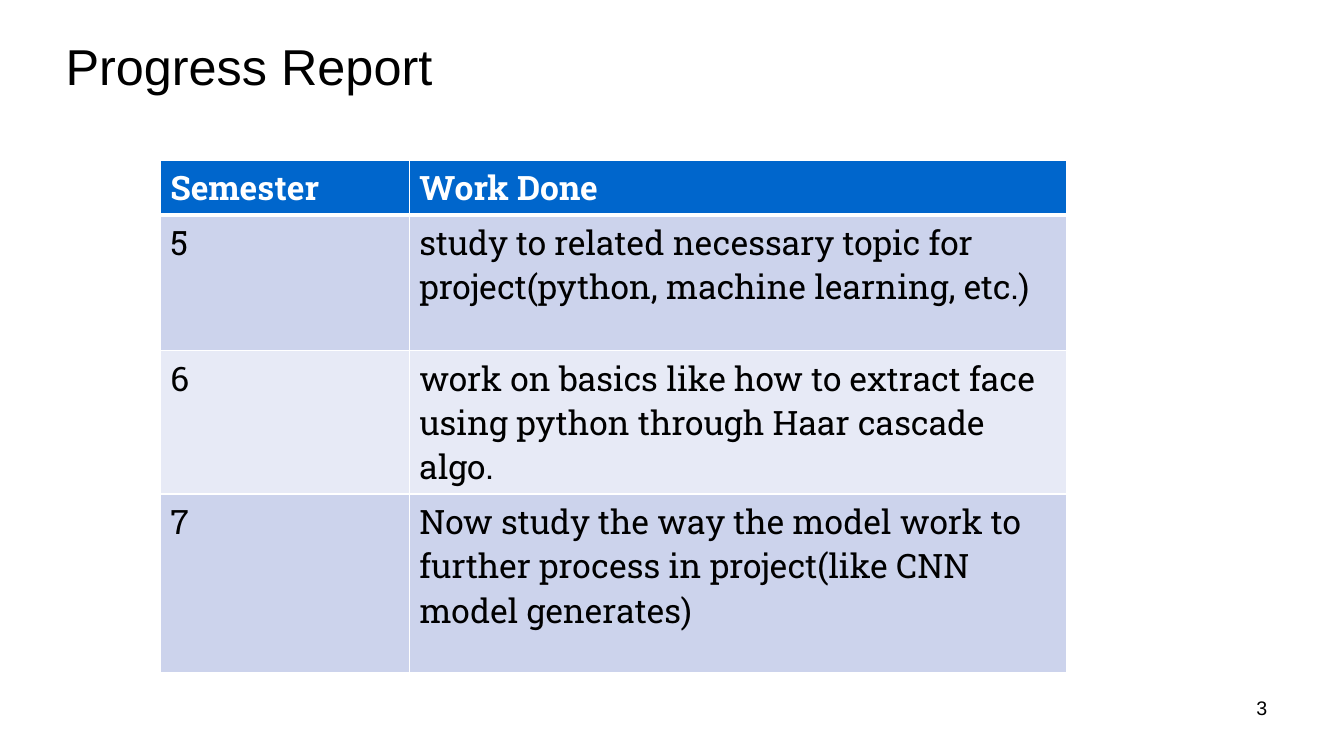
import pptx
import pptx.util
import pptx.dml.color
import pptx.enum.text
import pptx.oxml
import pptx.oxml.ns
from pptx.util import Pt

COLORS = {"text": "000000", "white": "FFFFFF", "header": "0066CC",
          "band_dark": "CCD3EC", "band_light": "E7EAF6"}
ALIGN = pptx.enum.text.PP_ALIGN
ANCHOR = pptx.enum.text.MSO_ANCHOR


class SlideBuilder:
    """Holds the style and the current slide."""
    heading_font = "Arial"
    table_font = "Roboto Slab"

    def __init__(self, page):
        self.page = page

    def color(self, name):
        return pptx.dml.color.RGBColor.from_string(COLORS[name])

    def add_span(self, para, text, size, font, color="text", bold=False):
        span = para.add_run()
        span.text = text
        span.font.size = Pt(size)
        span.font.name = font
        span.font.bold = bold
        span.font.color.rgb = self.color(color)

    def title(self, text, left, top, width, height):
        box = self.page.shapes.title
        box.left, box.top, box.width, box.height = map(Pt, (left, top, width, height))
        frame = box.text_frame
        frame.vertical_anchor = ANCHOR.BOTTOM
        frame.margin_bottom = Pt(2)
        para = frame.paragraphs[0]
        para.alignment = ALIGN.LEFT
        self.add_span(para, text, 36, self.heading_font)

    def page_number(self, text, left, top, width, height):
        box = self.page.shapes.add_textbox(*map(Pt, (left, top, width, height)))
        box.text_frame.word_wrap = True
        box.text_frame.margin_top = Pt(5.5)
        para = box.text_frame.paragraphs[0]
        para.alignment = ALIGN.RIGHT
        self.add_span(para, text, 14, self.heading_font)

    def borders(self, cell, top, bottom):
        # Border lines must come before the fill in the cell properties
        props = cell._tc.get_or_add_tcPr()
        for index, (side, width) in enumerate(
                (("lnL", 1), ("lnR", 1), ("lnT", top), ("lnB", bottom))):
            props.insert(index, pptx.oxml.parse_xml(
                f'<a:{side} {pptx.oxml.ns.nsdecls("a")} w="{int(Pt(width))}"><a:solidFill>'
                f'<a:srgbClr val="{COLORS["white"]}"/></a:solidFill></a:{side}>'))

    def table(self, rows, left, top, widths, heights):
        grid = self.page.shapes.add_table(
            len(rows), len(widths), Pt(left), Pt(top),
            Pt(sum(widths)), Pt(sum(heights))).table
        for column, width in zip(grid.columns, widths):
            column.width = Pt(width)
        for index, (row, height) in enumerate(zip(rows, heights)):
            grid.rows[index].height = Pt(height)
            header = index == 0
            fill = "header" if header else "band_dark" if index % 2 else "band_light"
            for position, text in enumerate(row):
                cell = grid.cell(index, position)
                cell.fill.solid()
                cell.fill.fore_color.rgb = self.color(fill)
                self.borders(cell, top=3 if index == 1 else 1, bottom=3 if header else 1)
                self.add_span(cell.text_frame.paragraphs[0], text, 24, self.table_font,
                              "white" if header else "text", header)


# Deck and page
deck = pptx.Presentation()
deck.slide_width, deck.slide_height = Pt(960), Pt(540)
builder = SlideBuilder(deck.slides.add_slide(deck.slide_layouts[5]))

# Progress table
builder.table(
    [("Semester", "Work Done"),
     ("5", "study to related necessary topic for project(python, machine learning, etc.)"),
     ("6", "work on basics like how to extract face using python through Haar cascade algo."),
     ("7", "Now study the way the model work to further process in project(like CNN model generates)")],
    left=114.5, top=114.5, widths=(177.8, 469.4), heights=(36, 97.2, 97.2, 127.4))

# Title and page number
builder.title("Progress Report", 39.6, 19.4, 738.7, 51.1)
builder.page_number("3", 688.3, 491.8, 223.9, 37.4)

deck.save("out.pptx")
